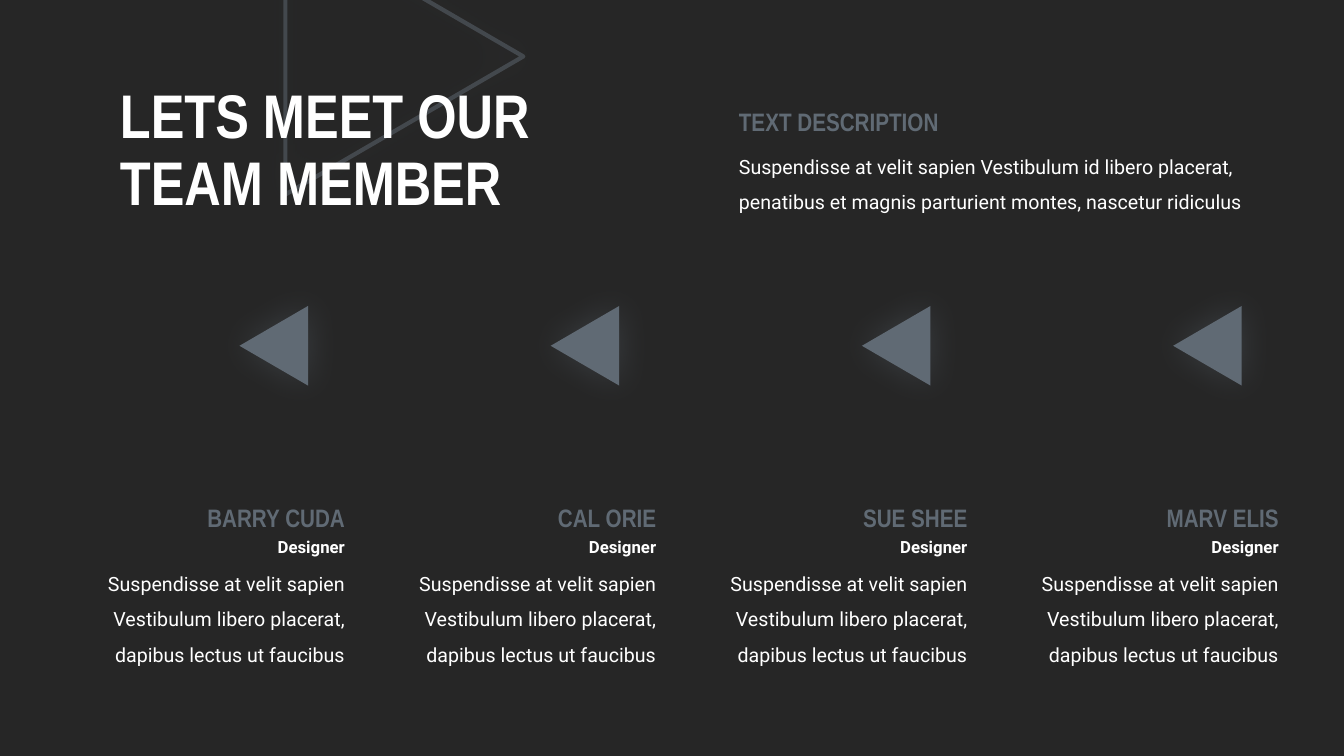
from lxml.etree import SubElement
from pptx import Presentation
from pptx.dml.color import RGBColor
from pptx.enum.shapes import MSO_SHAPE
from pptx.enum.text import MSO_ANCHOR, MSO_AUTO_SIZE, PP_ALIGN
from pptx.oxml.ns import qn
from pptx.util import Inches, Pt

GREY, WHITE, DARK = "606A74", "FFFFFF", "262626"
HEAD, BODY = "Arial Narrow", "Roboto"

deck = Presentation()
deck.slide_width, deck.slide_height = Inches(13.33), Inches(7.5)
slide = deck.slides.add_slide(deck.slide_layouts[5])
shapes = slide.shapes


def paint(fill, color):
    fill.solid()
    fill.fore_color.rgb = RGBColor.from_string(color)


def write(text, x, y, w, h, size=14, font=BODY, color=WHITE, bold=False,
          align=PP_ALIGN.LEFT, spacing=1.0, box=None):
    if box is None:
        box = shapes.add_textbox(0, 0, 0, 0)
    box.left, box.top, box.width, box.height = map(Inches, (x, y, w, h))
    frame = box.text_frame
    frame.word_wrap = True
    frame.text = text
    para = frame.paragraphs[0]
    para.alignment, para.line_spacing = align, spacing
    for run in para.runs:
        run.font.size, run.font.name, run.font.bold = Pt(size), font, bold
        paint(run.font.fill, color)
    return frame


# Background
paint(slide.background.fill, DARK)

# Triangles: a large outline at the top, then one per member
pitch = 3.087
spots = [(2.64, -0.62, 2.74, 2.36, 90)]
spots += [(2.32 + pitch * i, 3.09, 0.79, 0.68, 270) for i in range(4)]
for x, y, w, h, turn in spots:
    mark = shapes.add_shape(MSO_SHAPE.ISOSCELES_TRIANGLE,
                            *map(Inches, (x, y, w, h)))
    mark.rotation = turn
    mark.shadow.inherit = False
    if turn == 90:
        mark.fill.background()
        mark.line.width = Pt(3)
        paint(mark.line.fill, GREY)
        tint = mark.line._ln.find(".//" + qn("a:srgbClr"))
        SubElement(tint, qn("a:alpha"), val="50000")
    else:
        paint(mark.fill, GREY)
        mark.line.fill.background()
    # Soft glow around the shape
    glow = SubElement(mark._element.spPr.find(qn("a:effectLst")),
                      qn("a:outerShdw"), blurRad=str(Pt(25)), dist="0",
                      dir="0", algn="ctr", rotWithShape="0")
    tint = SubElement(glow, qn("a:srgbClr"), val=GREY)
    SubElement(tint, qn("a:alpha"), val="35000")

# Title, in front of the outline
title = shapes.title
shapes._spTree.append(title._element)
frame = write("LETS MEET OUR\vTEAM MEMBER", 1.09, 0.72, 5.62, 1.58, size=44,
              font=HEAD, bold=True, spacing=0.9, box=title)
frame.vertical_anchor = MSO_ANCHOR.MIDDLE
frame.auto_size = MSO_AUTO_SIZE.NONE

# Description
write("TEXT DESCRIPTION", 7.23, 1.01, 2.45, 0.4, size=18, font=HEAD,
      color=GREY, bold=True)
write("Suspendisse at velit sapien Vestibulum id libero placerat, "
      "penatibus et magnis parturient montes, nascetur ridiculus",
      7.23, 1.37, 5.55, 0.77, spacing=1.5)

# Team members, right-aligned to each column's edge
team = ["BARRY CUDA", "CAL ORIE", "SUE SHEE", "MARV ELIS"]
for i, name in enumerate(team):
    edge = 3.52 + pitch * i
    write("Suspendisse at velit sapien Vestibulum libero placerat, "
          "dapibus lectus ut faucibus", edge - 2.84, 5.51, 2.84, 1.12,
          align=PP_ALIGN.RIGHT, spacing=1.5)
    write(name, edge - 1.85, 4.93, 1.85, 0.4, size=18, font=HEAD, color=GREY,
          bold=True, align=PP_ALIGN.RIGHT)
    write("Designer", edge - 1.04, 5.28, 1.04, 0.3, size=12, bold=True,
          align=PP_ALIGN.RIGHT)

deck.save("out.pptx")
